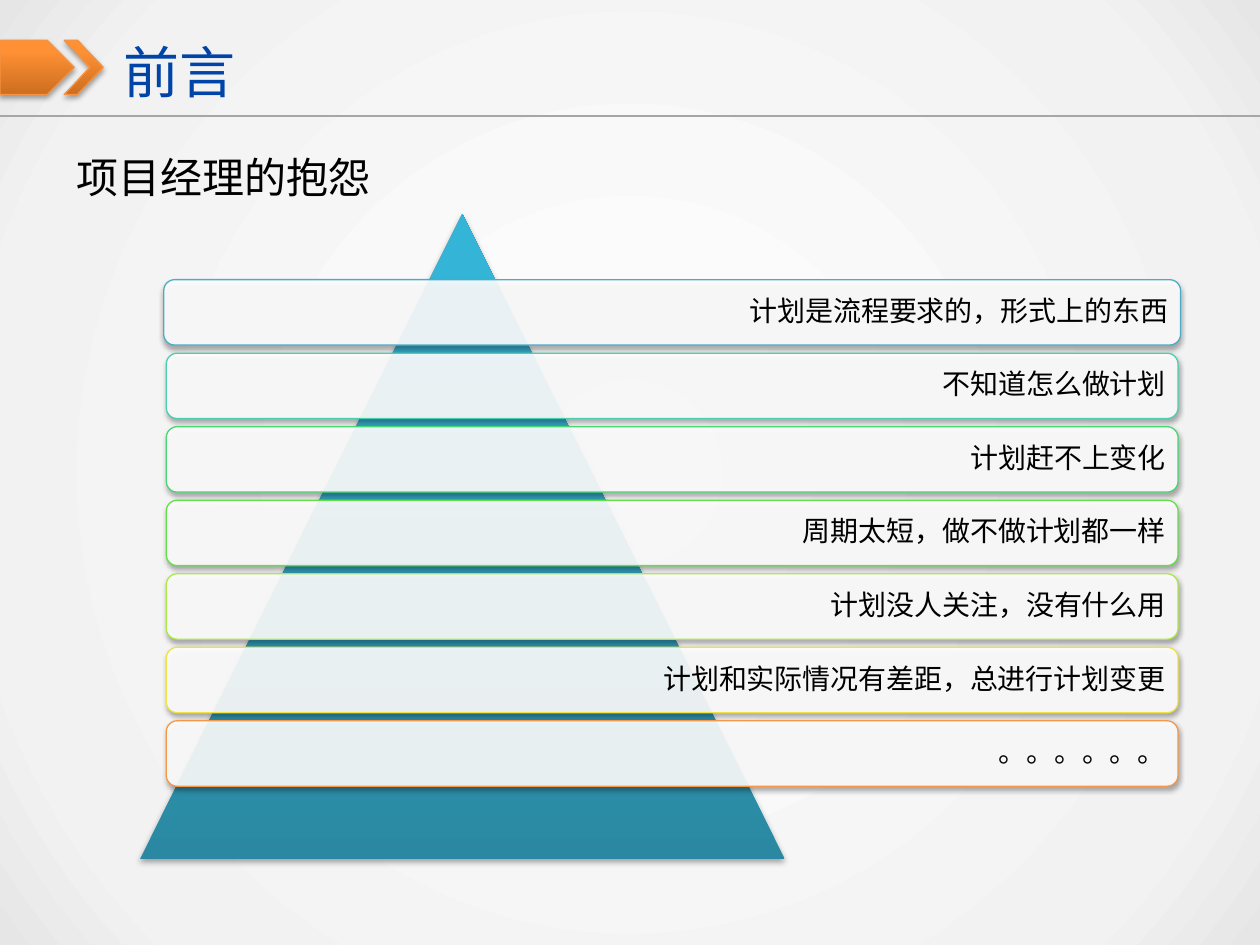
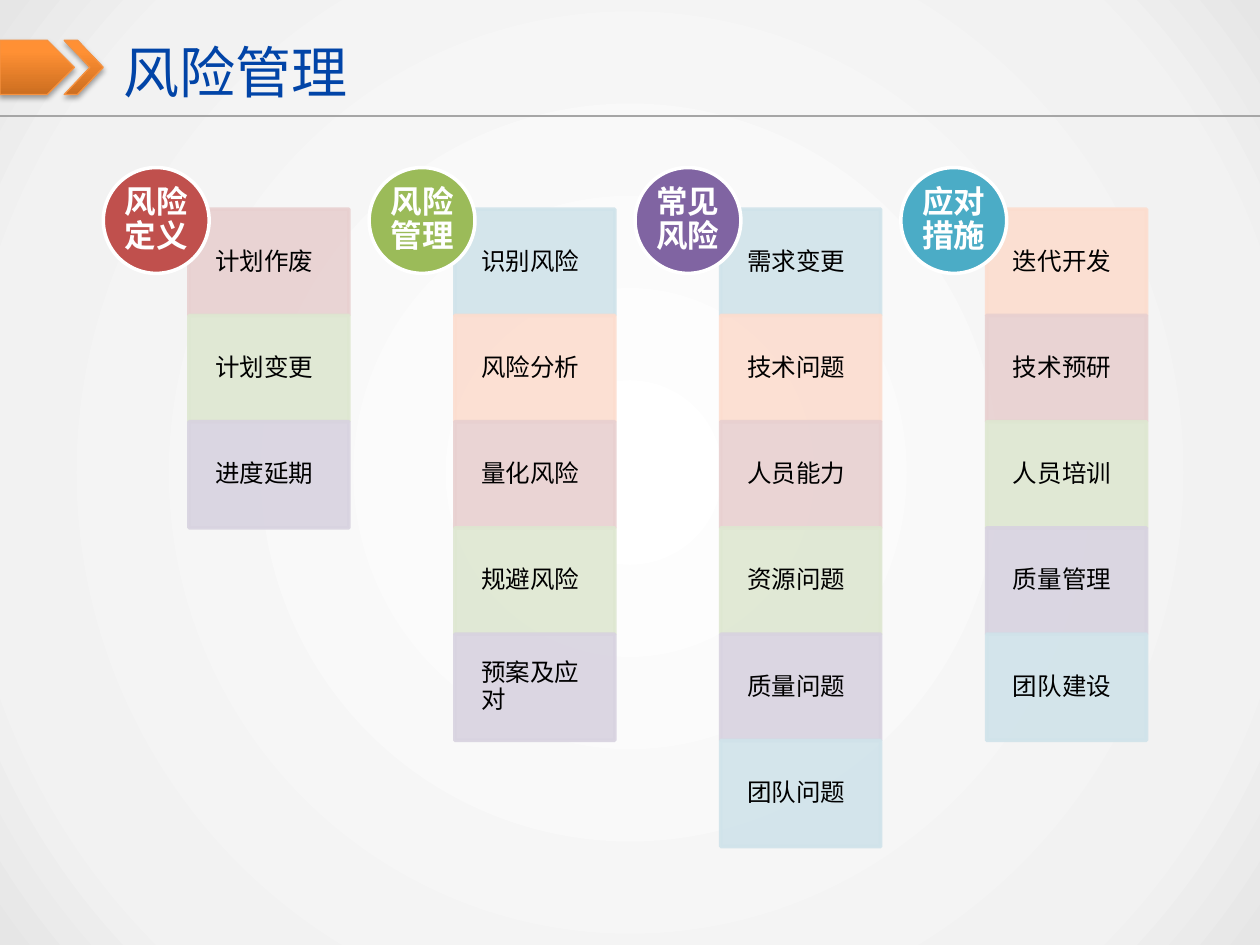
from dataclasses import dataclass
from itertools import cycle

from lxml.etree import SubElement
from pptx import Presentation
from pptx.dml.color import RGBColor
from pptx.enum.shapes import MSO_CONNECTOR, MSO_SHAPE
from pptx.enum.text import MSO_ANCHOR, MSO_AUTO_SIZE, PP_ALIGN
from pptx.oxml import parse_xml
from pptx.oxml.ns import nsdecls, qn
from pptx.util import Inches, Pt


@dataclass(frozen=True)
class Theme:
    font: str = "Noto Sans CJK SC"
    title_size: int = 32
    subtitle_size: int = 24
    topic_size: int = 18
    card_size: int = 16
    cell_size: int = 14
    title: str = "0144A7"
    text: str = "000000"
    white: str = "FFFFFF"
    divider: str = "A6A6A6"
    arrow_line: str = "F69240"
    background: tuple = ((0, "FFFFFF"), (82, "F2F2F2"), (100, "E6E6E6"))
    arrow: tuple = ((0, "CC6E20"), (80, "FF9034"), (100, "FF9136"))
    pyramid: tuple = ((0, "2A88A2"), (80, "37B1D2"), (100, "34B4D6"))
    cards: tuple = ("4BACC6", "49CFAE", "47D872", "60E146", "ACE946", "F0E146", "F79646")
    cells: tuple = ("E8D0D0", "DEE7D1", "D8D3E0", "D0E3EA", "FCDDCF")
    topics: tuple = ("C0504D", "9BBB59", "8064A2", "4BACC6")


@dataclass(frozen=True)
class Box:
    left: float
    top: float
    width: float
    height: float

    def inches(self):
        return [Inches(v) for v in (self.left, self.top, self.width, self.height)]


THEME = Theme()
UPWARD = '<a:lin ang="16200000" scaled="0"/>'
FROM_CENTRE = ('<a:path path="circle"><a:fillToRect l="50000" t="50000" '
               'r="50000" b="50000"/></a:path>')

COMPLAINTS = [
    "计划是流程要求的，形式上的东西",
    "不知道怎么做计划",
    "计划赶不上变化",
    "周期太短，做不做计划都一样",
    "计划没人关注，没有什么用",
    "计划和实际情况有差距，总进行计划变更",
    "。。。。。。",
]
RISK_TOPICS = {
    "风险定义": ["计划作废", "计划变更", "进度延期"],
    "风险管理": ["识别风险", "风险分析", "量化风险", "规避风险", "预案及应对"],
    "常见风险": ["需求变更", "技术问题", "人员能力", "资源问题", "质量问题", "团队问题"],
    "应对措施": ["迭代开发", "技术预研", "人员培训", "质量管理", "团队建设"],
}


def assign(target, values):
    for name, value in values.items():
        setattr(target, name, value)


def gradient(stops, direction):
    marks = "".join(f'<a:gs pos="{pos * 1000}"><a:srgbClr val="{colour}"/></a:gs>'
                    for pos, colour in stops)
    return parse_xml(f'<a:gradFill {nsdecls("a")} rotWithShape="1">'
                     f'<a:gsLst>{marks}</a:gsLst>{direction}</a:gradFill>')


def soft_shadow():
    return parse_xml(
        f'<a:outerShdw {nsdecls("a")} blurRad="{Pt(3.1)}" dist="{Pt(1.8)}" dir="5400000" '
        'rotWithShape="0"><a:srgbClr val="000000"><a:alpha val="35000"/></a:srgbClr>'
        '</a:outerShdw>')


def add_shape(slide, preset, box, fill, line=None, line_width=0.75, opacity=100, shadow=False):
    """Add a preset shape; fill is one colour or a tuple of gradient stops."""
    shape = slide.shapes.add_shape(preset, *box.inches())
    shape.shadow.inherit = False
    properties = shape.element.spPr
    shape.fill.solid()
    if isinstance(fill, tuple):
        properties.replace(properties.find(qn("a:solidFill")), gradient(fill, UPWARD))
    else:
        shape.fill.fore_color.rgb = RGBColor.from_string(fill)
    if line:
        shape.line.color.rgb = RGBColor.from_string(line)
        shape.line.width = Pt(line_width)
    else:
        shape.line.fill.background()
    if shadow:
        properties.find(qn("a:effectLst")).append(soft_shadow())
    return shape


def set_opacity(fill_element, percent):
    for colour in fill_element.iter(qn("a:srgbClr")):
        SubElement(colour, qn("a:alpha"), val=str(percent * 1000))


def write(shape, text, size, colour, align=PP_ALIGN.LEFT, insets=(0, 0, 0, 0),
          spacing=0.9, bold=False):
    """Put one formatted paragraph in a shape; insets run left, top, right, bottom."""
    frame = shape.text_frame
    sides = ("margin_left", "margin_top", "margin_right", "margin_bottom")
    assign(frame, dict(zip(sides, map(Inches, insets))))
    assign(frame, {"word_wrap": True, "auto_size": MSO_AUTO_SIZE.NONE,
                   "vertical_anchor": MSO_ANCHOR.MIDDLE})
    paragraph = frame.paragraphs[0]
    assign(paragraph, {"alignment": align, "line_spacing": spacing, "space_before": Pt(0)})
    run = paragraph.add_run()
    run.text = text
    assign(run.font, {"name": THEME.font, "size": Pt(size), "bold": bold})
    run.font.color.rgb = RGBColor.from_string(colour)
    SubElement(run._r.get_or_add_rPr(), qn("a:ea"), typeface=THEME.font)
    return run


def place(shape, box):
    assign(shape, dict(zip(("left", "top", "width", "height"), box.inches())))


def set_background(master):
    master.background.fill.solid()
    properties = master.element.find(".//" + qn("p:bgPr"))
    properties.replace(properties.find(qn("a:solidFill")),
                       gradient(THEME.background, FROM_CENTRE))


def add_header(slide, title, box):
    """Title with its orange arrow and the divider under it."""
    arrow_top = box.top + 0.11
    arrow_format = {"fill": THEME.arrow, "line": THEME.arrow_line, "shadow": True}
    add_shape(slide, MSO_SHAPE.PENTAGON, Box(box.left, arrow_top, 0.59, 0.43), **arrow_format)
    chevron = add_shape(slide, MSO_SHAPE.CHEVRON,
                        Box(box.left + 0.51, arrow_top, 0.31, 0.43), **arrow_format)
    chevron.adjustments[0] = 0.66

    bottom = Inches(box.top + box.height)
    divider = slide.shapes.add_connector(MSO_CONNECTOR.STRAIGHT, Inches(box.left), bottom,
                                         Inches(box.left + box.width), bottom)
    divider.line.color.rgb = RGBColor.from_string(THEME.divider)
    divider.line.width = Pt(0.75)
    SubElement(divider.element.spPr, qn("a:effectLst"))

    heading = slide.shapes.title
    place(heading, Box(box.left + 0.98, box.top, box.width - 1.18, box.height))
    run = write(heading, title, THEME.title_size, THEME.title,
                insets=(0, 0.05, 0, 0.05), spacing=1.0)
    effects = parse_xml(f'<a:effectLst {nsdecls("a")}/>')
    effects.append(soft_shadow())
    run._r.get_or_add_rPr().find(qn("a:solidFill")).addnext(effects)


def add_subtitle(slide, text, box):
    body = slide.placeholders[1]
    place(body, box)
    write(body, text, THEME.subtitle_size, THEME.text,
          insets=(0.1, 0.05, 0.1, 0.05), spacing=1.0)
    properties = body.text_frame.paragraphs[0]._p.get_or_add_pPr()
    assign_indent = {"marL": "0", "indent": "0"}
    for name, value in assign_indent.items():
        properties.set(name, value)
    SubElement(properties, qn("a:buNone"))


def add_complaint_pyramid(slide, complaints, box):
    """Triangle at the left of the box, with a stack of cards across it."""
    add_shape(slide, MSO_SHAPE.ISOSCELES_TRIANGLE,
              Box(box.left, box.top, box.height, box.height), THEME.pyramid, shadow=True)
    pitch = 4.02 / (len(complaints) - 1 / 9)
    for row, (complaint, accent) in enumerate(zip(complaints, THEME.cards)):
        overhang = 0.02 if row == 0 else 0
        card = add_shape(slide, MSO_SHAPE.ROUNDED_RECTANGLE,
                         Box(box.left + 0.21 - overhang, box.top + 0.52 + row * pitch,
                             box.width - 0.23 + 2 * overhang, pitch * 8 / 9),
                         THEME.white, line=accent, shadow=True)
        set_opacity(card.element.spPr.find(qn("a:solidFill")), 90)
        write(card, complaint, THEME.card_size, THEME.text, PP_ALIGN.RIGHT, insets=(0.07,) * 4)


def add_risk_column(slide, topic, topic_colour, risks, cell_colours, box, row_height):
    """Column of cells whose top left corner is covered by the topic's circle."""
    circle_size, cell_left, cell_top = 0.84, 0.68, 0.33
    for row, risk in enumerate(risks):
        colour = next(cell_colours)
        cell = add_shape(slide, MSO_SHAPE.RECTANGLE,
                         Box(box.left + cell_left, box.top + cell_top + row * row_height,
                             box.width - cell_left, row_height),
                         colour, line=colour, line_width=2)
        set_opacity(cell.element.spPr, 90)
        write(cell, risk, THEME.cell_size, THEME.text, insets=(0.21, 0.11, 0.11, 0.11))
    circle = add_shape(slide, MSO_SHAPE.OVAL, Box(box.left, box.top, circle_size, circle_size),
                       topic_colour, line=THEME.white, line_width=2)
    write(circle, topic, THEME.topic_size, THEME.white, PP_ALIGN.CENTER, bold=True)


def add_risk_columns(slide, topics, box):
    column_width = 1.95
    pitch = (box.width - column_width) / (len(topics) - 1)
    row_height = (box.height - 0.33) / max(map(len, topics.values()))
    cell_colours = cycle(THEME.cells)
    for column, ((topic, risks), colour) in enumerate(zip(topics.items(), THEME.topics)):
        add_risk_column(slide, topic, colour, risks, cell_colours,
                        Box(box.left + column * pitch, box.top, column_width, box.height),
                        row_height)


def main():
    deck = Presentation()
    assign(deck, {"slide_width": Inches(10), "slide_height": Inches(7.5)})
    set_background(deck.slide_master)
    content_layout, title_layout = deck.slide_layouts[1], deck.slide_layouts[5]
    header = Box(0, 0.21, 10, 0.71)

    preface = deck.slides.add_slide(content_layout)
    add_header(preface, "前言", header)
    add_subtitle(preface, "项目经理的抱怨", Box(0.51, 1.15, 9.13, 0.5))
    add_complaint_pyramid(preface, COMPLAINTS, Box(1.11, 1.7, 8.26, 5.12))

    risk = deck.slides.add_slide(title_layout)
    add_header(risk, "风险管理", header)
    add_risk_columns(risk, RISK_TOPICS, Box(0.82, 1.33, 8.28, 5.39))

    deck.save("out.pptx")


if __name__ == "__main__":
    main()
